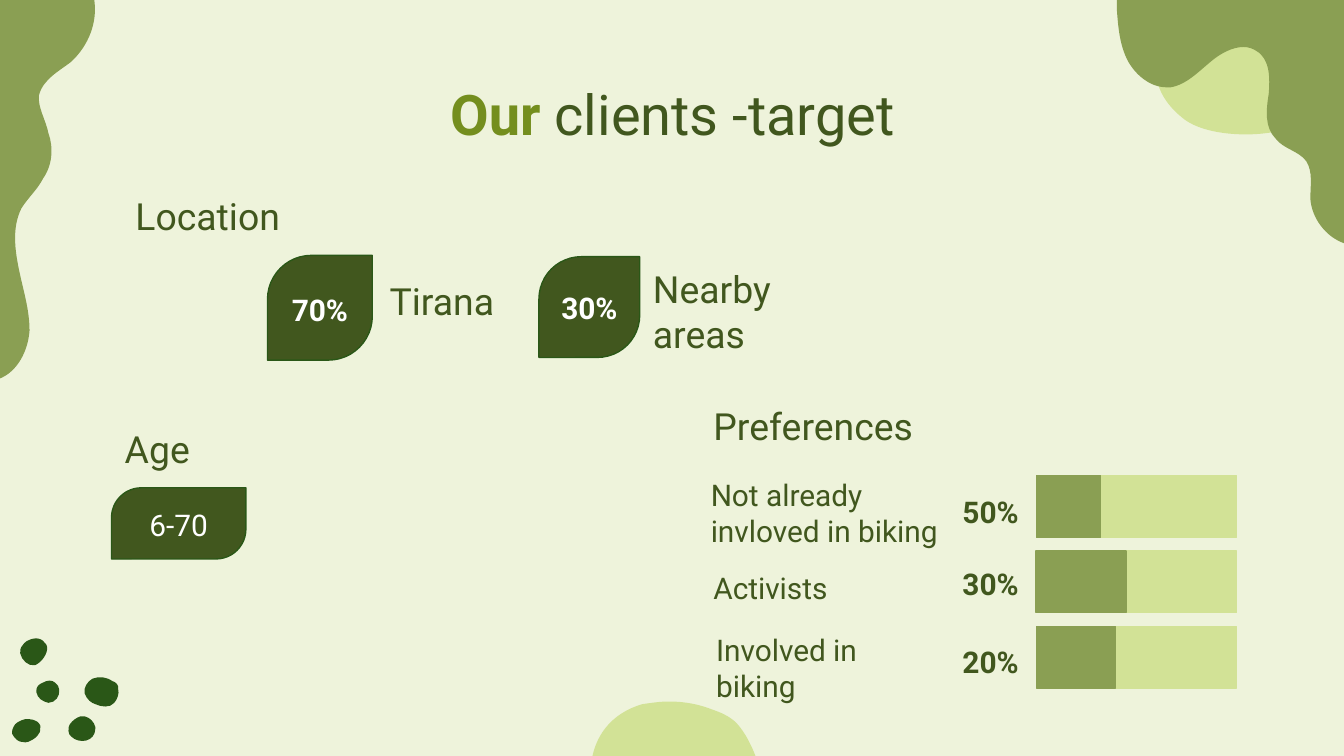
from collections import namedtuple
from dataclasses import dataclass

from pptx import Presentation
from pptx.dml.color import RGBColor
from pptx.enum.shapes import MSO_SHAPE as Preset
from pptx.enum.text import MSO_ANCHOR as Anchor, PP_ALIGN as Align
from pptx.oxml.ns import qn
from pptx.util import Emu, Pt

SCALE = 9144  # EMU per px, 100 px to the inch
PAGE_WIDTH = 1000
Box = namedtuple("Box", "left top width height")


@dataclass(frozen=True)
class Theme:
    background: str = "EEF3DB"
    lime: str = "D2E296"
    olive: str = "8A9F53"
    leaf: str = "41571E"
    forest: str = "2A5717"
    accent: str = "748E1E"
    white: str = "FFFFFF"
    font: str = "Roboto"
    title: int = 30
    heading: int = 20
    body: int = 16


THEME = Theme()

# Outlines: M, L and C commands with px points
TOP_RIGHT = [
    (THEME.lime, "M 927 100 C 908 100 889 96 879 87 C 852 65 851 29 899 20 "
                 "C 906 19 912 18 919 18 C 930 18 941 20 951 22 C 958 24 964 26 969 29 "
                 "C 982 38 991 57 990 69 C 988 89 957 100 927 100"),
    (THEME.olive, "M 831 0 L 831 7 C 832 20 833 33 839 45 C 845 56 856 65 868 65 "
                  "C 869 65 870 65 871 65 C 883 63 892 53 902 45 C 908 40 917 35 925 35 "
                  "C 929 35 932 36 935 38 C 945 44 945 58 944 70 C 942 82 941 95 949 103 "
                  "C 955 111 966 112 972 120 C 977 128 975 138 975 148 "
                  "C 976 162 986 176 1000 181 L 1000 0"),
]
LEFT_EDGE = [
    (THEME.olive, "M -1 282 C 13 277 21 261 22 246 C 22 230 17 215 14 200 "
                  "C 11 185 9 169 16 155 C 21 147 28 141 32 133 C 39 123 40 110 36 99 "
                  "C 34 89 28 80 29 71 C 32 59 44 53 53 46 C 66 34 73 16 70 -1 L -1 -1"),
]
PEBBLES = [(THEME.forest, outline) for outline in (
    "M 51 544 C 51 542 51 540 52 539 C 54 536 57 534 60 533 C 61 533 62 533 63 533 "
    "C 67 534 70 537 71 541 C 71 541 71 542 71 542 C 71 552 59 554 53 548 "
    "C 52 547 51 546 51 544",
    "M 63 516 C 62 512 65 507 69 505 C 74 503 80 504 84 507 C 85 507 86 508 87 509 "
    "C 88 510 88 511 88 513 C 89 516 87 521 85 523 C 82 527 75 526 71 524 "
    "C 68 523 65 521 63 516",
    "M 9 546 C 9 544 9 542 10 541 C 11 538 15 536 19 535 C 22 535 28 535 30 540 "
    "C 30 540 30 541 30 541 C 31 546 26 550 21 552 C 20 552 18 553 16 552 "
    "C 14 552 11 550 9 546",
    "M 15 486 C 15 484 15 482 17 480 C 17 479 19 478 20 477 C 22 476 24 475 27 475 "
    "C 29 475 32 476 33 478 C 34 479 35 480 35 481 C 36 486 31 493 26 495 "
    "C 21 496 16 491 15 486",
    "M 27 515 C 27 515 27 514 27 514 C 27 511 29 509 32 508 C 35 506 39 506 41 508 "
    "C 43 510 44 511 44 513 C 45 518 41 523 36 523 C 32 522 28 520 27 515",
)]
BOTTOM_HILL = [
    (THEME.lime, "M 505 646 C 487 646 468 640 458 627 C 431 594 430 538 478 524 "
                 "C 485 523 491 522 498 522 C 509 522 520 524 530 528 "
                 "C 536 530 543 533 548 538 C 561 552 570 581 569 600 C 567 630 536 646 505 646"),
]


def px(length):
    return Emu(round(length * SCALE))


def within(box, left, top, width, height):
    return Box(box.left + left, box.top + top, width, height)


def paint(shape, fill, line=None):
    shape.shadow.inherit = False
    shape.fill.solid()
    shape.fill.fore_color.rgb = RGBColor.from_string(fill)
    if line:
        shape.line.color.rgb = RGBColor.from_string(line)
        shape.line.width = Pt(0.75)
    else:
        shape.line.fill.background()


def add_block(page, box, preset, fill, line):
    shape = page.shapes.add_shape(preset, *map(px, box))
    paint(shape, fill, line)
    return shape


def add_text(page, box, spans, size, color=THEME.leaf, bold=False,
             align=Align.LEFT, anchor=Anchor.TOP):
    """Spans is a string, or a list of (text, color, bold)."""
    frame = page.shapes.add_textbox(*map(px, box)).text_frame
    frame.word_wrap = True
    frame.vertical_anchor = anchor
    frame.margin_left = frame.margin_right = px(10)
    frame.margin_top = frame.margin_bottom = px(10)
    para = frame.paragraphs[0]
    para.alignment = align
    para.font.name, para.font.size = THEME.font, Pt(size)
    if isinstance(spans, str):
        spans = [(spans, color, bold)]
    for text, span_color, span_bold in spans:
        span = para.add_run()
        span.text = text
        span.font.bold = span_bold
        span.font.color.rgb = RGBColor.from_string(span_color)


def add_outline(page, box, fill, outline):
    """Draw the points as a polygon, then merge each C triple into a curve."""
    points, steps = [], []
    for token in outline.split():
        if token.isalpha():
            steps.append(token)
        else:
            points.append(int(token))
    vertices = list(zip(points[::2], points[1::2]))
    builder = page.shapes.build_freeform(*vertices[0], scale=SCALE)
    builder.add_line_segments(vertices[1:], close=True)
    shape = builder.convert_to_shape(px(box.left), px(box.top))
    paint(shape, fill)
    lines = iter(list(shape._element.iter(qn("a:lnTo"))))
    for step in steps[1:]:
        first = next(lines)
        if step == "C":
            first.tag = qn("a:cubicBezTo")
            for _ in range(2):
                line = next(lines)
                first.append(line[0])
                line.getparent().remove(line)


def add_ornaments(page, box):
    for fill, outline in TOP_RIGHT + LEFT_EDGE + PEBBLES + BOTTOM_HILL:
        add_outline(page, box, fill, outline)


def add_leaf(page, box, text, bold=True):
    leaf = add_block(page, box, Preset.ROUND_2_DIAG_RECTANGLE, THEME.leaf, THEME.forest)
    leaf.adjustments[0], leaf.adjustments[1] = 0.42, 0
    add_text(page, within(box, 0, (box.height - 46) // 2 + 1, box.width, 46), text,
             THEME.body, THEME.white, bold, Align.CENTER, Anchor.MIDDLE)


def add_location(page, box):
    add_text(page, within(box, 0, 0, 207, 46), "Location", THEME.heading)
    add_leaf(page, within(box, 108, 56, 78, 78), "70%")
    add_text(page, within(box, 189, 70, 111, 46), "Tirana", THEME.heading,
             anchor=Anchor.BOTTOM)
    add_leaf(page, within(box, 310, 57, 75, 75), "30%")
    add_text(page, within(box, 385, 95, 111, 46), "Nearby areas", THEME.heading,
             anchor=Anchor.BOTTOM)


def add_age(page, box):
    add_text(page, within(box, 0, 0, 207, 46), "Age", THEME.heading)
    add_leaf(page, within(box, 0, 56, 100, 53), "6-70", bold=False)


def add_preferences(page, box):
    add_text(page, within(box, 2, 0, 207, 46), "Preferences", THEME.heading)
    # label, its left, top and width; share and its top; filled width
    rows = [
        ("Not already invloved in biking", 0, 55, 212, "50%", 68, 48),
        ("Activists", 2, 124, 154, "30%", 121, 67),
        ("Involved in biking", 4, 170, 180, "20%", 179, 59),
    ]
    for index, (label, left, top, width, share, share_top, filled) in enumerate(rows):
        bar_top = 64 + 56 * index
        for bar_width, color in ((149, THEME.lime), (filled, THEME.olive)):
            add_block(page, within(box, 252, bar_top, bar_width, 46),
                      Preset.RECTANGLE, color, color)
        add_text(page, within(box, left, top, width, 46), label, THEME.body)
        add_text(page, within(box, 179, share_top, 78, 46), share, THEME.body, bold=True,
                 align=Align.CENTER, anchor=Anchor.MIDDLE)


def main():
    deck = Presentation()
    deck.slide_width = px(PAGE_WIDTH)
    deck.slide_height = px(PAGE_WIDTH * 9 / 16)
    page = deck.slides.add_slide(deck.slide_layouts[6])
    page.background.fill.solid()
    page.background.fill.fore_color.rgb = RGBColor.from_string(THEME.background)

    add_ornaments(page, Box(0, 0, PAGE_WIDTH, 562))
    add_text(page, Box(79, 49, 843, 63),
             [("Our", THEME.accent, True), (" clients -target", THEME.leaf, False)],
             THEME.title, align=Align.CENTER)
    add_location(page, Box(91, 134, 496, 141))
    add_age(page, Box(83, 307, 207, 109))
    add_preferences(page, Box(519, 290, 401, 225))
    deck.save("out.pptx")


if __name__ == "__main__":
    main()
